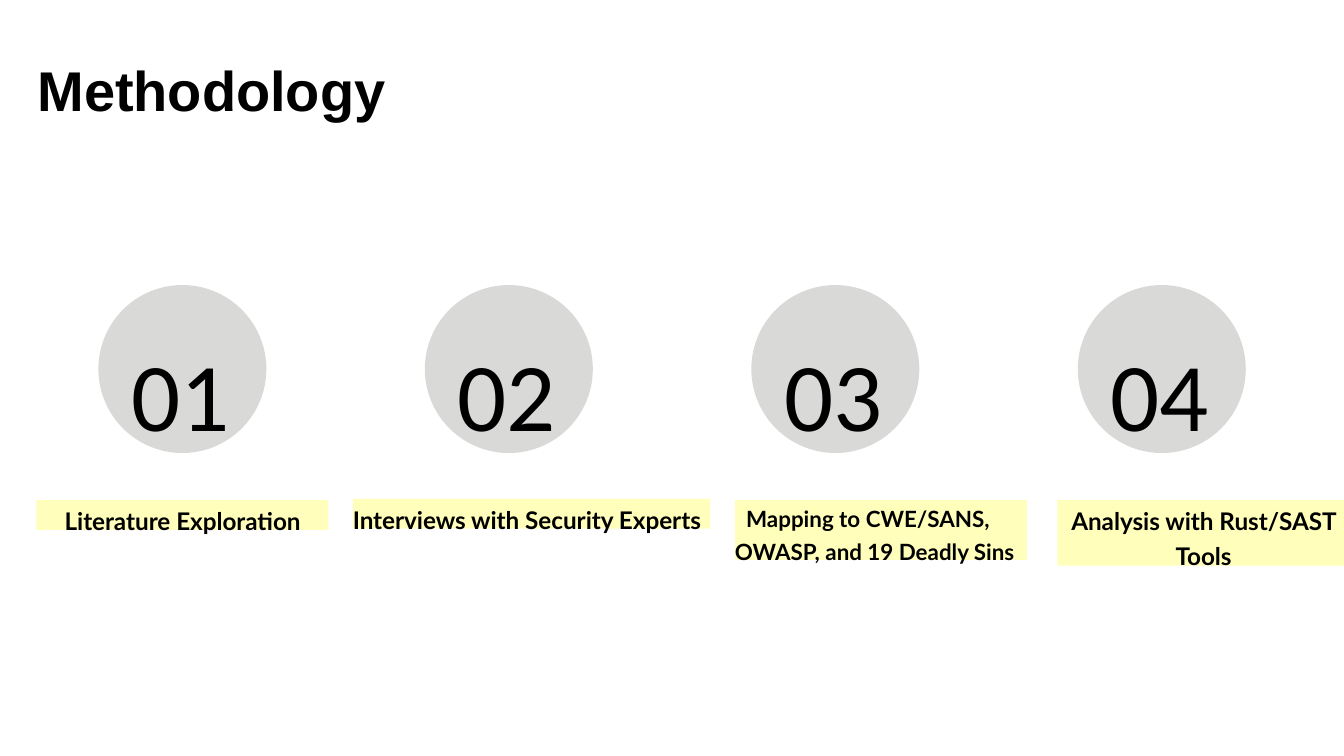
from pptx import Presentation
from pptx.dml.color import RGBColor
from pptx.enum.shapes import MSO_SHAPE
from pptx.enum.text import MSO_ANCHOR, PP_ALIGN
from pptx.util import Pt


def color(value):
    return RGBColor.from_string(value)


def write(shape, text, font, size, bold, align, spacing=None, inset=0):
    frame = shape.text_frame
    frame.word_wrap = True
    frame.vertical_anchor = MSO_ANCHOR.TOP
    frame.margin_left = frame.margin_right = Pt(inset)
    frame.margin_top = frame.margin_bottom = Pt(inset)
    paragraph = frame.paragraphs[0]
    paragraph.text = text
    paragraph.alignment = align
    paragraph.line_spacing = spacing
    paragraph.font.name = font
    paragraph.font.size = Pt(size)
    paragraph.font.bold = bold
    paragraph.font.color.rgb = color("000000")
    return paragraph


presentation = Presentation()
presentation.slide_width = Pt(720)
presentation.slide_height = Pt(405)
slide = presentation.slides.add_slide(presentation.slide_layouts[6])

steps = [
    ("Literature Exploration", 19.5, 268, 156.5, 16, 13, PP_ALIGN.CENTER, 0),
    ("Interviews with Security Experts", 189, 267.3, 191.5, 16, 13, PP_ALIGN.LEFT, 0),
    ("Mapping to CWE/SANS, OWASP, and 19 Deadly Sins", 393.7, 268, 156.5, 32, 12, PP_ALIGN.LEFT, 6),
    ("Analysis with Rust/SAST Tools", 566.5, 268, 156.5, 35, 13, PP_ALIGN.CENTER, 0),
]

for index, (text, left, top, width, height, size, align, indent) in enumerate(steps):
    circle_left = 52.7 + 174.9 * index
    circle = slide.shapes.add_shape(
        MSO_SHAPE.OVAL, Pt(circle_left), Pt(152.7), Pt(90), Pt(90))
    number = slide.shapes.add_textbox(
        Pt(circle_left + 7.5), Pt(167), Pt(73), Pt(63.5))
    write(number, f"{index + 1:02}", "Calibri", 52, False, PP_ALIGN.CENTER, 1.2)

    label = slide.shapes.add_shape(
        MSO_SHAPE.RECTANGLE, Pt(left), Pt(top), Pt(width), Pt(height))
    paragraph = write(label, text, "Lato", size, True, align, 1.2)
    if indent:
        paragraph._p.get_or_add_pPr().set("indent", str(Pt(indent)))

    for shape, fill in ((circle, "D9D9D8"), (label, "FFFFBB")):
        shape.shadow.inherit = False
        shape.fill.solid()
        shape.fill.fore_color.rgb = color(fill)
        shape.line.fill.background()

title = slide.shapes.add_textbox(Pt(13), Pt(19.5), Pt(420.5), Pt(63.5))
write(title, "Methodology", "Arial", 30, True, PP_ALIGN.LEFT, inset=7.2)
title.text_frame.margin_top = Pt(10)

presentation.save("out.pptx")
